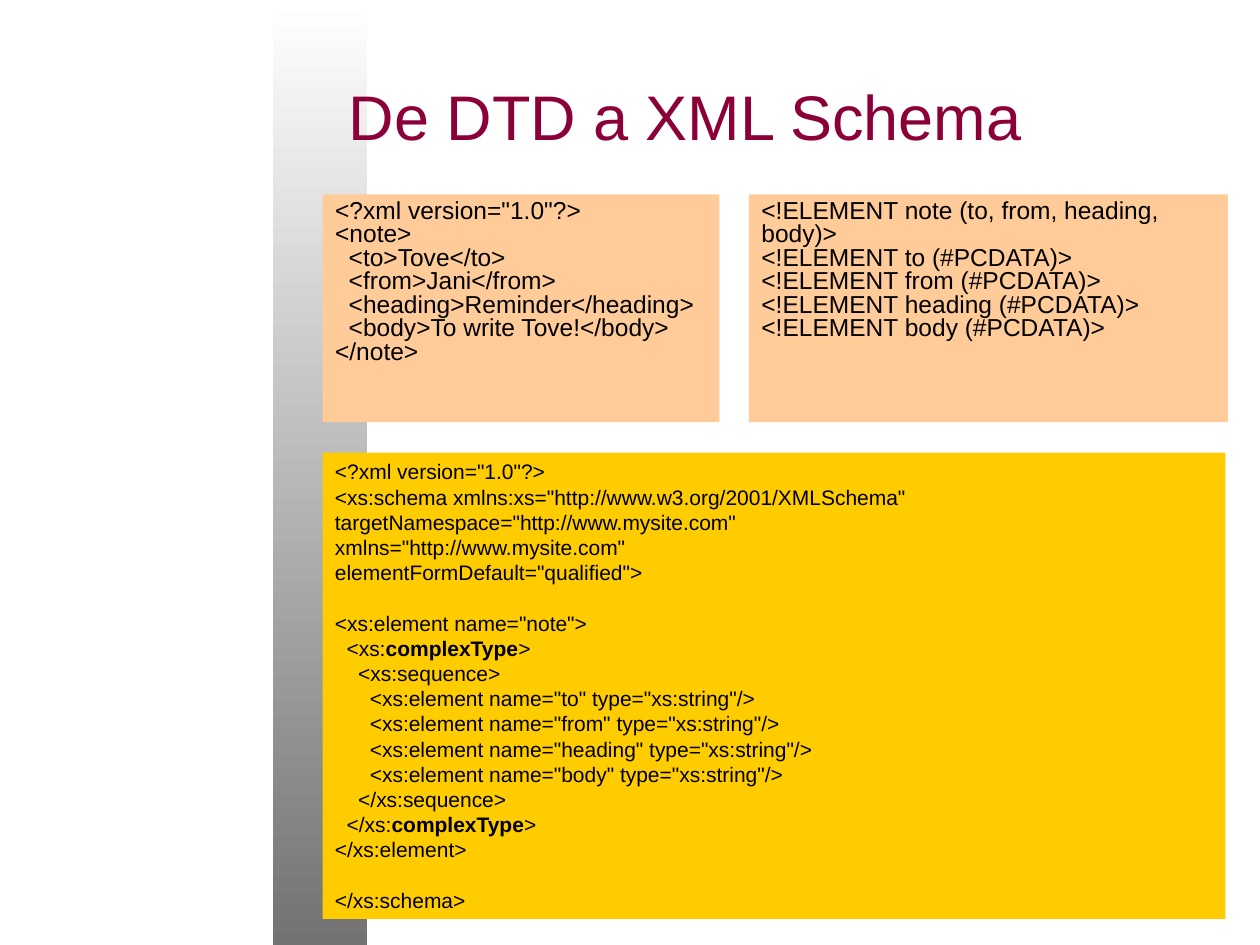
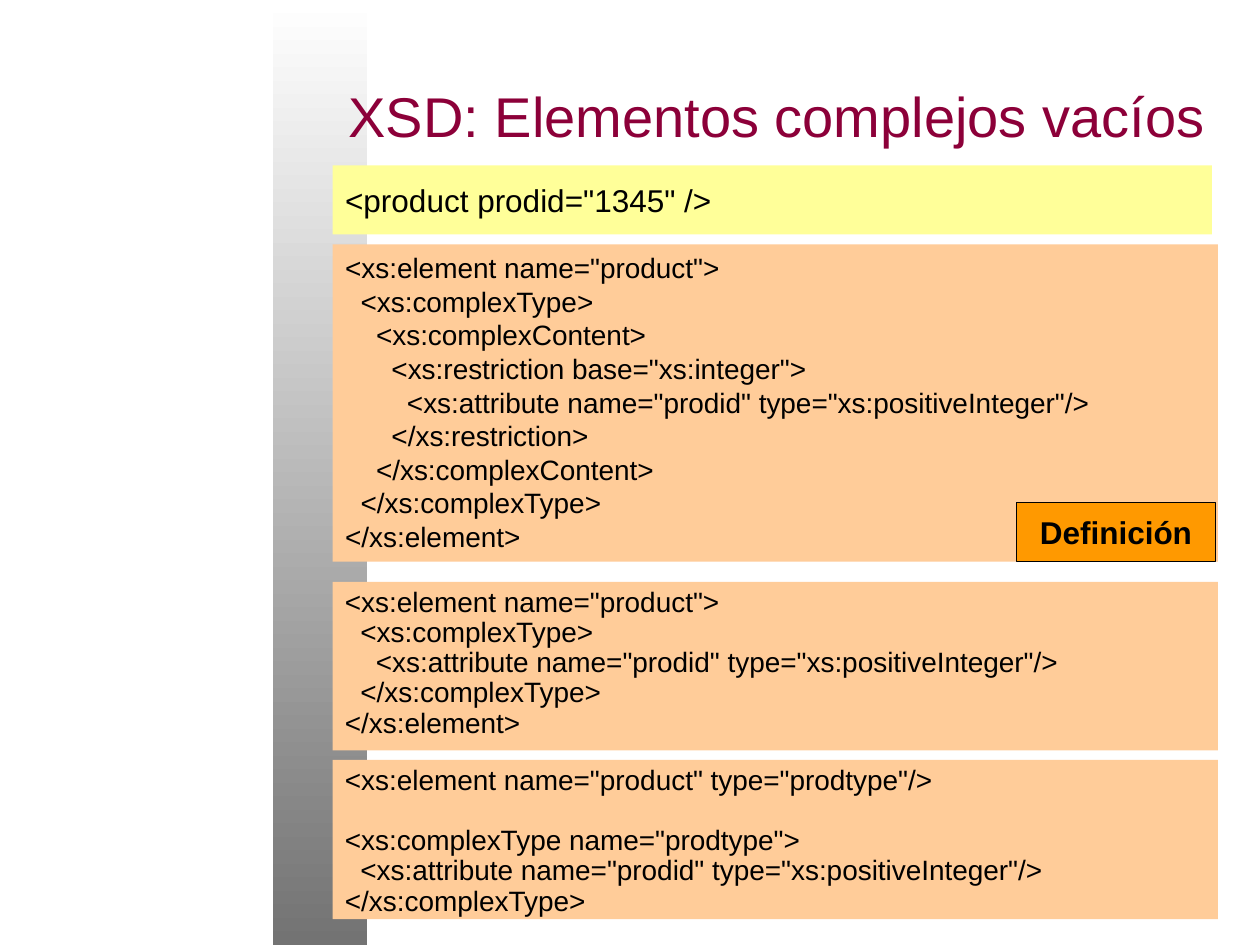
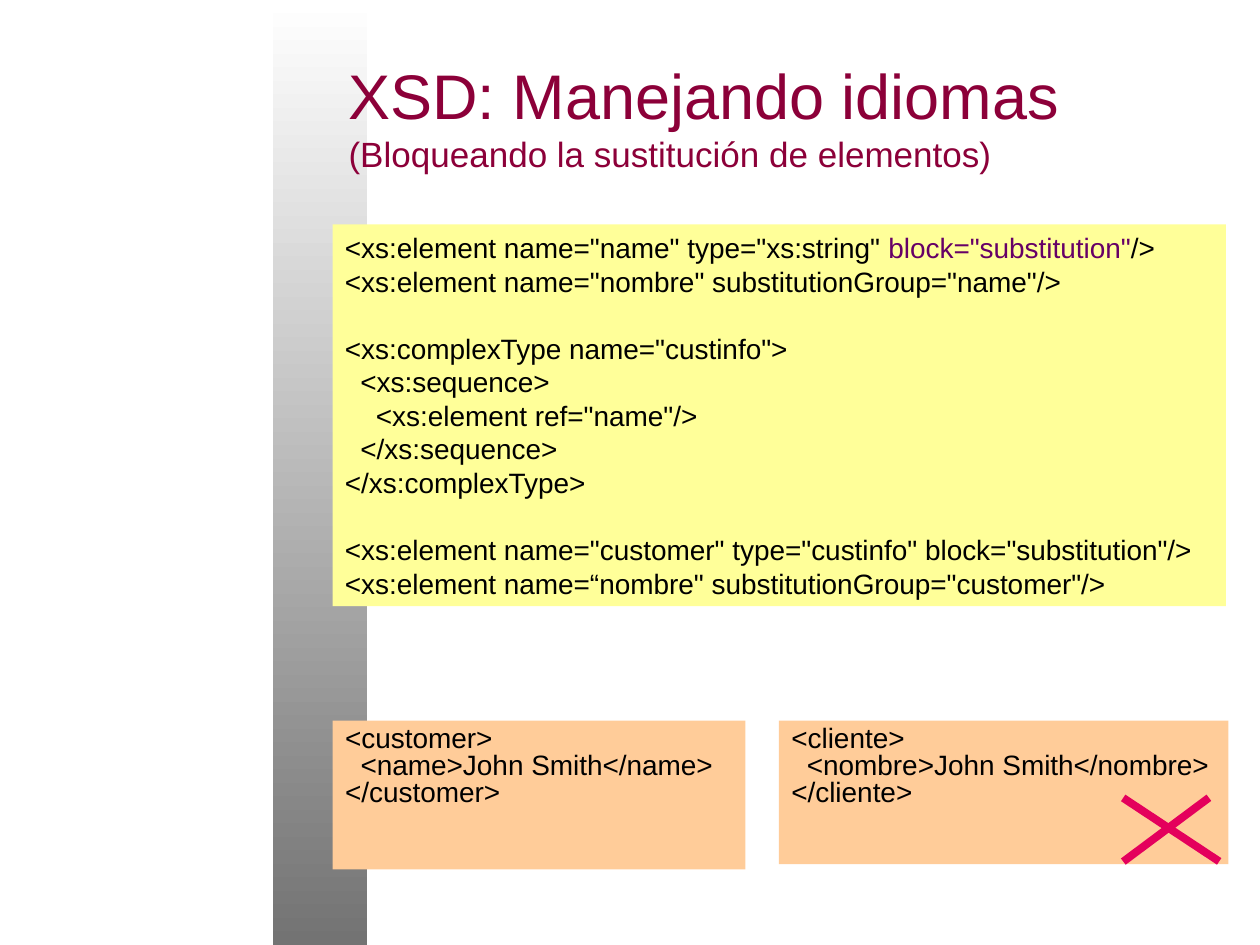
from lxml.etree import SubElement
from pptx import Presentation
from pptx.dml.color import RGBColor
from pptx.enum.shapes import MSO_CONNECTOR, MSO_SHAPE
from pptx.enum.text import MSO_ANCHOR as Anchor, MSO_AUTO_SIZE, PP_ALIGN as Align
from pptx.oxml.ns import qn
from pptx.util import Pt

FONT = "Arial"
BLACK = RGBColor(0x00, 0x00, 0x00)
WHITE = RGBColor(0xFF, 0xFF, 0xFF)
GRAY = RGBColor(0x73, 0x73, 0x73)
WINE = RGBColor(0x8C, 0x00, 0x39)
PURPLE = RGBColor(0x66, 0x00, 0x66)
PEACH = RGBColor(0xFF, 0xCC, 0x99)
GOLD = RGBColor(0xFF, 0xCC, 0x00)
YELLOW = RGBColor(0xFF, 0xFF, 0x99)
ORANGE = RGBColor(0xFF, 0x99, 0x00)
CRIMSON = RGBColor(0xE4, 0x00, 0x5C)

TWO_CONTENT = 3
SLIDE_SIZE = (720, 540)
BAND_BOX = (156, 0, 54, 540)
TITLE_BOX = (192, 18, 510, 96)  # wide enough to keep the longest title on one line
LEFT, WIDE = 190, 506  # shared by the panels of slides 2 and 3

# Content: bars mark emphasised code; the first two panels fill the body placeholders
NOTE_XML = """<?xml version="1.0"?>
<note>
  <to>Tove</to>
  <from>Jani</from>
  <heading>Reminder</heading>
  <body>To write Tove!</body>
</note>"""

NOTE_DTD = """<!ELEMENT note (to, from, heading, body)>
<!ELEMENT to (#PCDATA)>
<!ELEMENT from (#PCDATA)>
<!ELEMENT heading (#PCDATA)>
<!ELEMENT body (#PCDATA)>"""

NOTE_SCHEMA = """<?xml version="1.0"?>
<xs:schema xmlns:xs="http://www.w3.org/2001/XMLSchema"
targetNamespace="http://www.mysite.com"
xmlns="http://www.mysite.com"
elementFormDefault="qualified">

<xs:element name="note">
  <xs:|complexType|>
    <xs:sequence>
      <xs:element name="to" type="xs:string"/>
      <xs:element name="from" type="xs:string"/>
      <xs:element name="heading" type="xs:string"/>
      <xs:element name="body" type="xs:string"/>
    </xs:sequence>
  </xs:|complexType|>
</xs:element>

</xs:schema>"""

PRODUCT_XML = '<product prodid="1345" />'

PRODUCT_RESTRICTION = """<xs:element name="product">
  <xs:complexType>
    <xs:complexContent>
      <xs:restriction base="xs:integer">
        <xs:attribute name="prodid" type="xs:positiveInteger"/>
      </xs:restriction>
    </xs:complexContent>
  </xs:complexType>
</xs:element>"""

PRODUCT_SHORT = """<xs:element name="product">
  <xs:complexType>
    <xs:attribute name="prodid" type="xs:positiveInteger"/>
  </xs:complexType>
</xs:element>"""

PRODUCT_NAMED_TYPE = """<xs:element name="product" type="prodtype"/>

<xs:complexType name="prodtype">
  <xs:attribute name="prodid" type="xs:positiveInteger"/>
</xs:complexType>"""

CUSTOMER_XML = """<customer>
  <name>John Smith</name>
</customer>"""

CLIENTE_XML = """<cliente>
  <nombre>John Smith</nombre>
</cliente>"""

BLOCK_SCHEMA = """<xs:element name="name" type="xs:string" |block="substitution"|/>
<xs:element name="nombre" substitutionGroup="name"/>

<xs:complexType name="custinfo">
  <xs:sequence>
    <xs:element ref="name"/>
  </xs:sequence>
</xs:complexType>

<xs:element name="customer" type="custinfo" block="substitution"/>
<xs:element name=“nombre" substitutionGroup="customer"/>"""

SLIDES = [
    {
        "title": [("De DTD a XML Schema", 36)],
        "panels": [
            dict(code=NOTE_XML, box=(184.3, 111, 226.8, 130.3), fill=PEACH, size=14, spacing=0.8),
            dict(code=NOTE_DTD, box=(427.9, 111, 273.8, 130.3), fill=PEACH, size=14, spacing=0.8),
            dict(code=NOTE_SCHEMA, box=(184.3, 258.7, 516, 266.4), fill=GOLD, size=12,
                 emphasis={"bold": True}),
        ],
    },
    {
        "title": [("XSD: Elementos complejos vacíos", 32)],
        "panels": [
            dict(code=PRODUCT_XML, box=(LEFT, 94.5, 502.5, 39.5), fill=YELLOW, size=18,
                 anchor=Anchor.MIDDLE),
            dict(code=PRODUCT_RESTRICTION, box=(LEFT, 139.7, WIDE, 181.3), fill=PEACH, size=16),
            dict(code=PRODUCT_SHORT, box=(LEFT, 332.5, WIDE, 96.3), fill=PEACH, size=16,
                 spacing=0.9),
            dict(code=PRODUCT_NAMED_TYPE, box=(LEFT, 434.2, WIDE, 91), fill=PEACH, size=16,
                 spacing=0.9),
        ],
        "tag": ("Definición", (581, 287.2, 113.5, 33.8)),
    },
    {
        "title": [("XSD: Manejando idiomas", 36),
                  ("(Bloqueando la sustitución de elementos)", 20)],
        "panels": [
            dict(code=CUSTOMER_XML, box=(LEFT, 411.8, 236, 85), fill=PEACH, size=16, spacing=0.8),
            dict(code=CLIENTE_XML, box=(445, 411.8, 257, 82), fill=PEACH, size=16, spacing=0.8),
            dict(code=BLOCK_SCHEMA, box=(LEFT, 128.2, 510.5, 218.2), fill=YELLOW, size=16,
                 emphasis={"color": PURPLE}),
        ],
        "cross": [(643.7, 457.2, 694.8, 491), (643.7, 491, 689, 457.2)],
    },
]


def place(shape, box):
    shape.left, shape.top, shape.width, shape.height = map(Pt, box)


def add_rectangle(slide, box):
    shape = slide.shapes.add_shape(MSO_SHAPE.RECTANGLE, *map(Pt, box))
    shape.shadow.inherit = False
    shape.line.fill.background()
    return shape


def set_frame(shape, anchor, wrap=True):
    frame = shape.text_frame
    frame.auto_size = MSO_AUTO_SIZE.NONE
    frame.word_wrap = wrap
    frame.vertical_anchor = anchor
    return frame.paragraphs[0]


def add_run(paragraph, text, size, color=BLACK, bold=False):
    run = paragraph.add_run()
    run.text = text
    run.font.name = FONT
    run.font.size = Pt(size)
    run.font.bold = bold
    run.font.color.rgb = color


def add_band(slide):
    """Draw the gradient band and move it behind everything on the layout."""
    band = add_rectangle(slide, BAND_BOX)
    band.fill.gradient()
    band.fill.gradient_angle = 90
    for stop, color, position in zip(band.fill.gradient_stops, (GRAY, WHITE), (0, 1)):
        stop.color.rgb = color
        stop.position = position
    slide.slide_layout.shapes.element.insert(2, band.element)


def fill_title(slide, lines):
    title = slide.shapes.title
    place(title, TITLE_BOX)
    paragraph = set_frame(title, Anchor.MIDDLE)
    paragraph.alignment = Align.LEFT
    for number, (text, size) in enumerate(lines):
        if number:
            paragraph.add_line_break()
        add_run(paragraph, text, size, WINE)


def fill_panel(shape, code, fill, size, spacing=1.0, anchor=Anchor.TOP, emphasis=None):
    shape.fill.solid()
    shape.fill.fore_color.rgb = fill
    paragraph = set_frame(shape, anchor)
    properties = paragraph._p.get_or_add_pPr()
    properties.set("marL", "0")
    properties.set("indent", "0")
    SubElement(properties, qn("a:buNone"))
    paragraph.alignment = Align.LEFT
    paragraph.line_spacing = spacing
    paragraph.space_before = Pt(0)
    paragraph.font.size = Pt(size)
    for number, line in enumerate(code.split("\n")):
        if number:
            paragraph.add_line_break()
        for index, part in enumerate(line.split("|")):
            if part:
                style = emphasis if index % 2 else {}
                add_run(paragraph, part, size, **style)
    # Empty lines take their height from the break itself
    for line_break in paragraph._p.findall(qn("a:br")):
        SubElement(line_break, qn("a:rPr")).set("sz", str(size * 100))


def add_tag(slide, text, box):
    tag = add_rectangle(slide, box)
    tag.fill.solid()
    tag.fill.fore_color.rgb = ORANGE
    tag.line.color.rgb = BLACK
    tag.line.width = Pt(0.75)
    paragraph = set_frame(tag, Anchor.MIDDLE, wrap=False)
    paragraph.alignment = Align.CENTER
    add_run(paragraph, text, 18, bold=True)


def add_stroke(slide, ends):
    stroke = slide.shapes.add_connector(MSO_CONNECTOR.STRAIGHT, *map(Pt, ends))
    stroke.line.color.rgb = CRIMSON
    stroke.line.width = Pt(4.5)
    properties = stroke.element.spPr
    properties.find(qn("a:ln")).set("cap", "sq")
    SubElement(properties, qn("a:effectLst"))


def main():
    presentation = Presentation()
    presentation.slide_width, presentation.slide_height = map(Pt, SLIDE_SIZE)
    layout = presentation.slide_layouts[TWO_CONTENT]
    for number, content in enumerate(SLIDES):
        slide = presentation.slides.add_slide(layout)
        if number == 0:
            add_band(slide)
        fill_title(slide, content["title"])

        # Code panels
        bodies = list(slide.placeholders)[1:]
        for index, panel in enumerate(content["panels"]):
            style = dict(panel)
            box = style.pop("box")
            if index < len(bodies):
                shape = bodies[index]
                place(shape, box)
            else:
                shape = add_rectangle(slide, box)
            fill_panel(shape, **style)

        # Label and crossing-out
        if "tag" in content:
            add_tag(slide, *content["tag"])
        for ends in content.get("cross", []):
            add_stroke(slide, ends)
    presentation.save("out.pptx")


if __name__ == "__main__":
    main()
